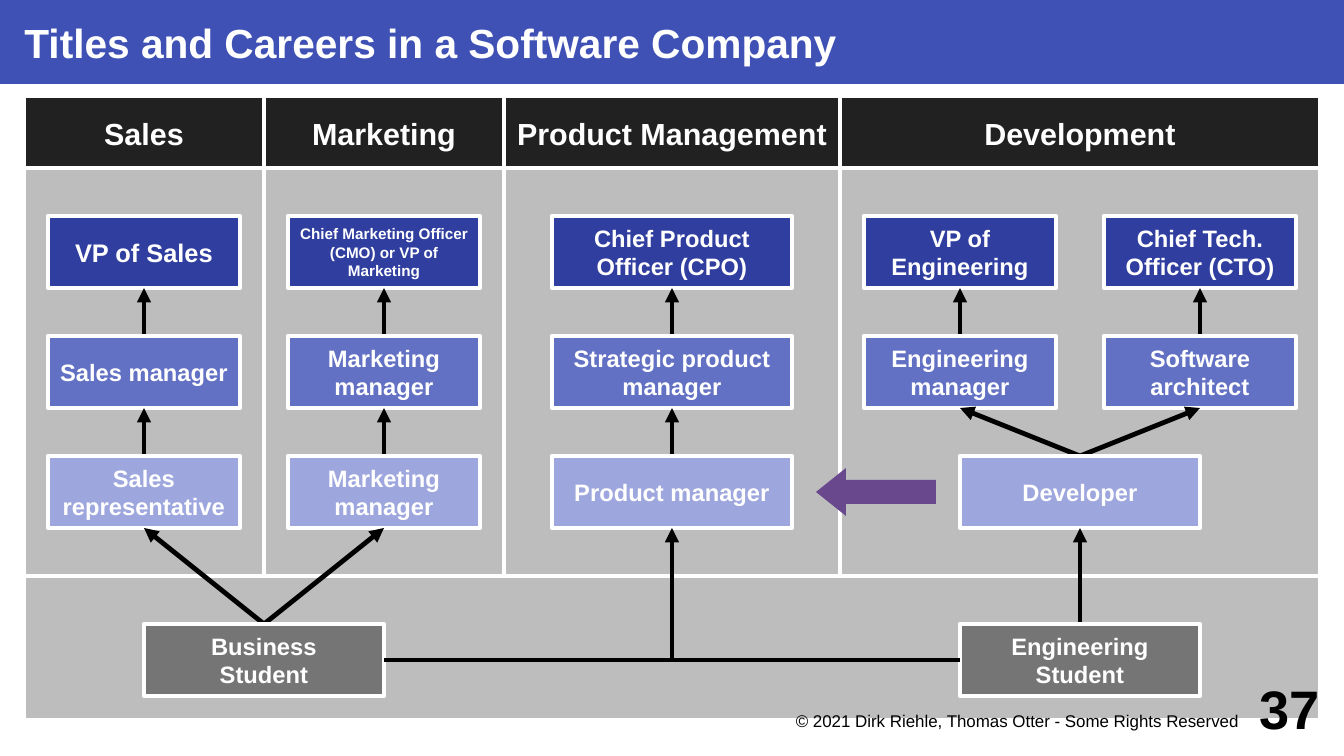
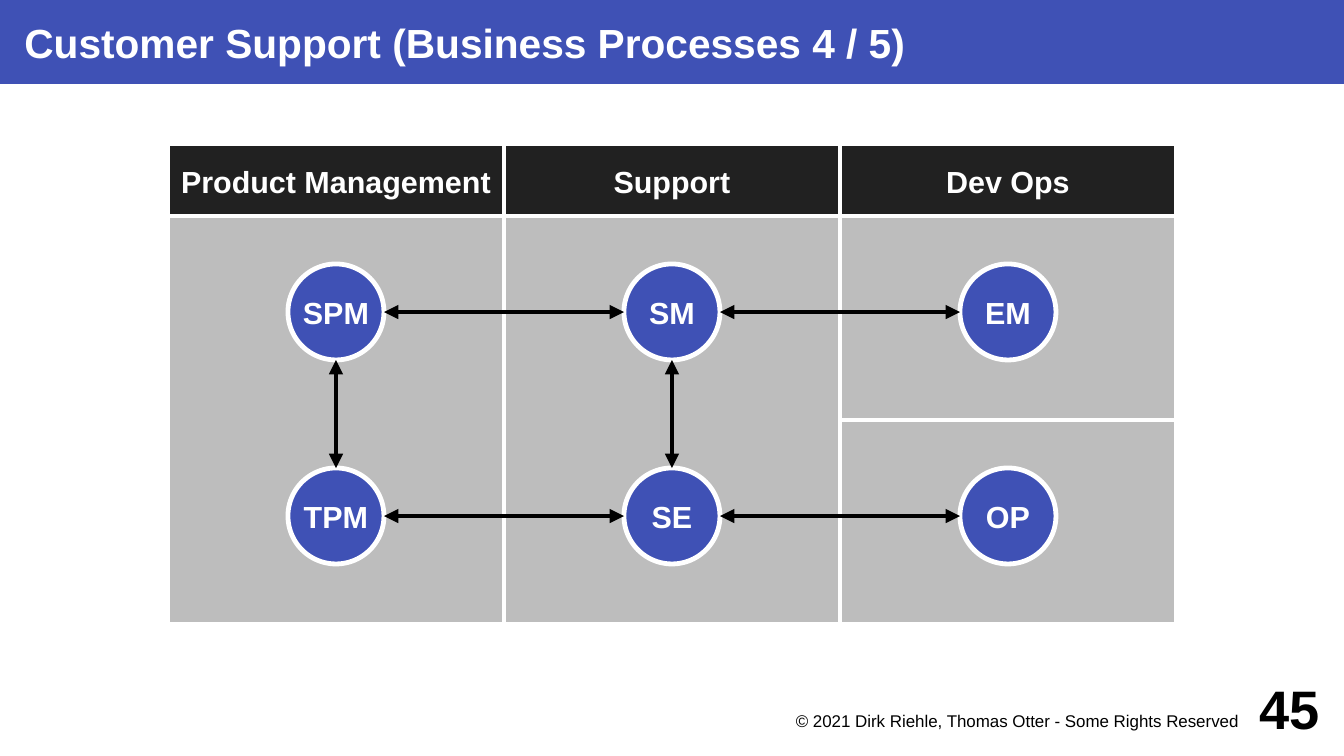
from dataclasses import dataclass

from lxml.etree import SubElement
from pptx import Presentation
from pptx.dml.color import RGBColor
from pptx.enum.shapes import MSO_CONNECTOR, MSO_SHAPE
from pptx.enum.text import MSO_ANCHOR, MSO_AUTO_SIZE, PP_ALIGN
from pptx.oxml.ns import qn
from pptx.util import Inches, Pt


@dataclass(frozen=True)
class Theme:
    font: str = "Arial"
    primary: str = "3F51B5"
    header: str = "212121"
    panel: str = "BDBDBD"
    executive: str = "303F9F"
    manager: str = "6371C4"
    entry: str = "9EA7DD"
    student: str = "757575"
    switch: str = "69488E"
    light: str = "FFFFFF"
    dark: str = "000000"
    title_size: int = 24
    head_size: int = 18
    box_size: int = 14
    note_size: int = 10
    number_size: int = 32
    stroke: float = 2.83


T = Theme()

COPYRIGHT = "© 2021 Dirk Riehle, Thomas Otter - Some Rights Reserved"

# Positions count 5 mm grid units: left, top, width, height.
WIDTH, HEIGHT = 56, 31.5
HEADER_H, LANE_H, BOX_H, CIRCLE = 3, 17, 3, 4

CAREERS_TITLE = "Titles and Careers in a Software Company"
CAREERS_TOP = 4
DEPARTMENTS = [
    ("Sales", 1, 10),
    ("Marketing", 11, 10),
    ("Product Management", 21, 14),
    ("Development", 35, 20),
]
STUDENT_LANE = (1, 24, 54, 6)
SWITCH_ARROW = (34, 19.5, 5, 2)

# Each row: top, fill, boxes of (key, text, left, width, next steps, size)
CAREER_ROWS = [
    (9, T.executive, [
        ("vp sales", "VP of Sales", 2, 8, [], 15),
        ("cmo", "Chief Marketing Officer (CMO) or VP of Marketing", 12, 8, [], 9),
        ("cpo", "Chief Product Officer (CPO)", 23, 10, [], T.box_size),
        ("vp eng", "VP of Engineering", 36, 8, [], T.box_size),
        ("cto", "Chief Tech. Officer (CTO)", 46, 8, [], T.box_size),
    ]),
    (14, T.manager, [
        ("sales mgr", "Sales manager", 2, 8, ["vp sales"], T.box_size),
        ("mkt mgr", "Marketing\nmanager", 12, 8, ["cmo"], T.box_size),
        ("strategic pm", "Strategic product manager", 23, 10, ["cpo"], T.box_size),
        ("eng mgr", "Engineering\nmanager", 36, 8, ["vp eng"], T.box_size),
        ("architect", "Software architect", 46, 8, ["cto"], T.box_size),
    ]),
    (19, T.entry, [
        ("sales rep", "Sales representative", 2, 8, ["sales mgr"], T.box_size),
        ("mkt entry", "Marketing\nmanager", 12, 8, ["mkt mgr"], T.box_size),
        ("pm", "Product manager", 23, 10, ["strategic pm"], T.box_size),
        ("developer", "Developer", 40, 10, ["eng mgr", "architect"], T.box_size),
    ]),
    (26, T.student, [
        ("business", "Business\nStudent", 6, 10, ["sales rep", "mkt entry"], T.box_size),
        ("engineering", "Engineering\nStudent", 40, 10, ["developer"], T.box_size),
    ]),
]

SUPPORT_TITLE = "Customer Support (Business Processes 4 / 5)"
SUPPORT_TOP, SUPPORT_LEFT, SUPPORT_W = 6, 7, 14
# Each lane: heading, number of panels, roles from top to bottom
SUPPORT_LANES = [
    ("Product Management", 1, ["SPM", "TPM"]),
    ("Support", 1, ["SM", "SE"]),
    ("Dev Ops", 2, ["EM", "OP"]),
]
ACROSS = [("SPM", "SM"), ("SM", "EM"), ("TPM", "SE"), ("SE", "OP")]
DOWN = [("SPM", "TPM"), ("SM", "SE")]

# Side: connection site of a rectangle, horizontal and vertical fraction
SIDES = {
    "top": (0, 0.5, 0),
    "left": (1, 0, 0.5),
    "bottom": (2, 0.5, 1),
    "right": (3, 1, 0.5),
}


def grid(*units):
    return [Inches(n * 5 / 25.4) for n in units]


def rgb(value):
    return RGBColor.from_string(value)


def write(sp, text, size=T.box_size, color=T.light, bold=True, align=PP_ALIGN.CENTER,
          anchor=MSO_ANCHOR.MIDDLE, insets=(0.08, 0.08, 0.08, 0.08), wrap=True):
    tf = sp.text_frame
    tf.auto_size = MSO_AUTO_SIZE.NONE
    tf.word_wrap = wrap
    tf.vertical_anchor = anchor
    (tf.margin_left, tf.margin_top,
     tf.margin_right, tf.margin_bottom) = map(Inches, insets)
    tf.text = text
    for p in tf.paragraphs:
        p.alignment = align
        for r in p.runs:
            r.font.name = T.font
            r.font.size = Pt(size)
            r.font.bold = bold
            r.font.color.rgb = rgb(color)


def add_block(s, kind, place, fill, outlined=True):
    sp = s.shapes.add_shape(kind, *grid(*place))
    sp.shadow.inherit = False
    sp.fill.solid()
    sp.fill.fore_color.rgb = rgb(fill)
    if outlined:
        sp.line.color.rgb = rgb(T.light)
        sp.line.width = Pt(T.stroke)
    else:
        sp.line.fill.background()
    return sp


def add_header(s, text, left, top, width):
    sp = add_block(s, MSO_SHAPE.RECTANGLE, (left, top, width, HEADER_H), T.header)
    write(sp, text, size=T.head_size, insets=(0.08, 0.1, 0.08, 0.08), wrap=False)


def add_line(s, start, end, ends=("tailEnd",)):
    """Draw a straight line; ends names the ends that carry an arrowhead."""
    c = s.shapes.add_connector(MSO_CONNECTOR.STRAIGHT, *start, *end)
    c.line.color.rgb = rgb(T.dark)
    c.line.width = Pt(T.stroke)
    sp_pr = c.element.find(qn("p:spPr"))
    for name in ends:
        SubElement(sp_pr.find(qn("a:ln")), qn(f"a:{name}")).set("type", "triangle")
    SubElement(sp_pr, qn("a:effectLst"))
    return c


def side_point(sp, side):
    _, fx, fy = SIDES[side]
    return int(sp.left + fx * sp.width), int(sp.top + fy * sp.height)


def link(s, a, a_side, b, b_side, **kwargs):
    c = add_line(s, side_point(a, a_side), side_point(b, b_side), **kwargs)
    # Site numbers differ on ellipses, so only rectangles are glued.
    if a.auto_shape_type == b.auto_shape_type == MSO_SHAPE.RECTANGLE:
        c.begin_connect(a, SIDES[a_side][0])
        c.end_connect(b, SIDES[b_side][0])
    return c


def add_slide(prs, title, number):
    s = prs.slides.add_slide(prs.slide_layouts[5])
    sp = s.shapes.title
    sp.left, sp.top, sp.width, sp.height = grid(0, 0, WIDTH, 3.5)
    sp.fill.solid()
    sp.fill.fore_color.rgb = rgb(T.primary)
    write(sp, title, size=T.title_size, align=PP_ALIGN.LEFT, insets=(0.2, 0, 0, 0))
    return s


def add_footer(s, number):
    note = s.shapes.add_textbox(*grid(30, 29.5, 22, 1.5))
    write(note, COPYRIGHT, size=T.note_size, color=T.dark, bold=False,
          align=PP_ALIGN.RIGHT, anchor=MSO_ANCHOR.TOP, insets=(0, 0.02, 0.08, 0))
    page = s.shapes.add_textbox(*grid(51, 28, 4, 3))
    write(page, str(number), size=T.number_size, color=T.dark,
          align=PP_ALIGN.RIGHT, insets=(0, 0, 0, 0))


def draw_careers(s):
    add_block(s, MSO_SHAPE.RECTANGLE, STUDENT_LANE, T.panel)
    lane_top = CAREERS_TOP + HEADER_H
    for _, left, width in DEPARTMENTS:
        add_block(s, MSO_SHAPE.RECTANGLE, (left, lane_top, width, LANE_H), T.panel)
    for name, left, width in DEPARTMENTS:
        add_header(s, name, left, CAREERS_TOP, width)

    boxes = {}
    for top, fill, row in CAREER_ROWS:
        for key, text, left, width, next_steps, size in row:
            sp = add_block(s, MSO_SHAPE.RECTANGLE, (left, top, width, BOX_H), fill)
            write(sp, text, size=size)
            boxes[key] = sp
            for step in next_steps:
                arrow = link(s, sp, "top", boxes[step], "bottom")
                sp.element.addprevious(arrow.element)

    business, engineering = boxes["business"], boxes["engineering"]
    link(s, business, "right", engineering, "left", ends=())
    x, y = side_point(boxes["pm"], "bottom")
    add_line(s, (x, side_point(business, "right")[1]), (x, y))

    switch = add_block(s, MSO_SHAPE.LEFT_ARROW, SWITCH_ARROW, T.switch, outlined=False)
    switch.adjustments[0] = 0.5
    switch.adjustments[1] = 0.625


def draw_support(s):
    circles = {}
    lane_top = SUPPORT_TOP + HEADER_H
    half = LANE_H / 2
    for i, (name, panels, roles) in enumerate(SUPPORT_LANES):
        left = SUPPORT_LEFT + i * SUPPORT_W
        height = LANE_H / panels
        for n in range(panels):
            add_block(s, MSO_SHAPE.RECTANGLE,
                      (left, lane_top + n * height, SUPPORT_W, height), T.panel)
        add_header(s, name, left, SUPPORT_TOP, SUPPORT_W)
        for n, role in enumerate(roles):
            place = (left + (SUPPORT_W - CIRCLE) / 2, lane_top + 2 + n * half,
                     CIRCLE, CIRCLE)
            sp = add_block(s, MSO_SHAPE.OVAL, place, T.primary)
            write(sp, role, size=T.head_size, wrap=False)
            circles[role] = sp

    for pairs, a_side, b_side in ((ACROSS, "right", "left"), (DOWN, "bottom", "top")):
        for a, b in pairs:
            link(s, circles[a], a_side, circles[b], b_side, ends=("headEnd", "tailEnd"))


def main():
    prs = Presentation()
    prs.slide_width, prs.slide_height = grid(WIDTH, HEIGHT)
    for title, number, draw in ((CAREERS_TITLE, 37, draw_careers),
                                (SUPPORT_TITLE, 45, draw_support)):
        s = add_slide(prs, title, number)
        draw(s)
        add_footer(s, number)
    prs.save("out.pptx")


if __name__ == "__main__":
    main()
